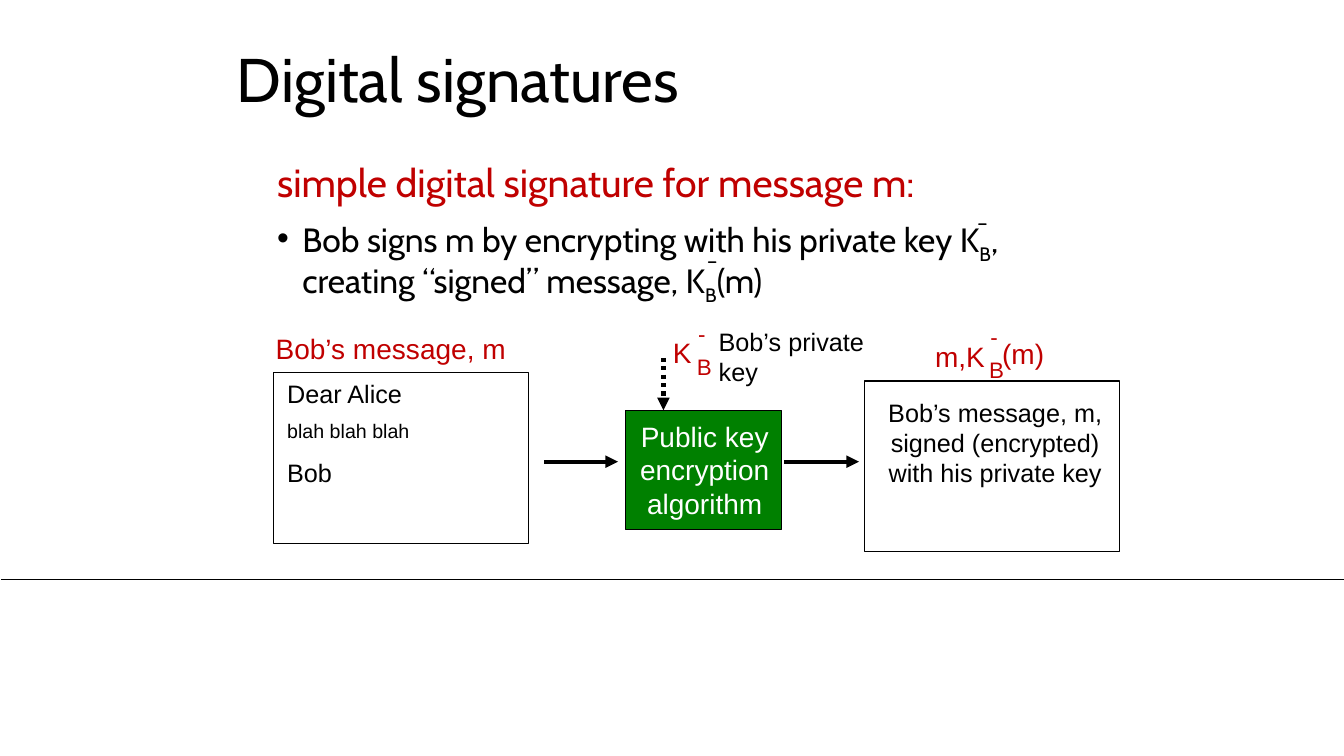
import dataclasses
import typing

import pptx
import pptx.dml.color
import pptx.enum.dml
import pptx.enum.shapes
import pptx.enum.text
import pptx.oxml
import pptx.oxml.ns
import pptx.util

PX = 9144  # 100 px to the inch
BLACK, WHITE, RED, GREEN = "000000", "FFFFFF", "C00000", "008000"
ALIGN = pptx.enum.text.PP_ALIGN
LEFT, CENTER = ALIGN.LEFT, ALIGN.CENTER


@dataclasses.dataclass(frozen=True)
class Panel:
    left: int
    top: int
    width: int
    height: int
    fill: str = WHITE


@dataclasses.dataclass(frozen=True)
class Line:
    start: tuple[int, int]
    end: tuple[int, int]
    weight: float = 3
    arrow: bool = True
    dotted: bool = False


@dataclasses.dataclass(frozen=True)
class Para:
    text: str
    size: int
    before: float = 0


@dataclasses.dataclass(frozen=True)
class Label:
    left: int
    top: int
    width: int
    height: int
    paras: tuple[Para, ...]
    color: str = BLACK
    font: str = "Arial"
    align: typing.Any = CENTER
    wrap: bool = True


def symbol(text: str, left: int, top: int, width: int, size: int) -> Label:
    """A red part of a key formula."""
    return Label(left, top, width, 44, (Para(text, size),), RED, wrap=False)


def key_marks(left: int, top: int) -> list[Label]:
    """The raised minus and lowered B beside a K."""
    return [symbol("B", left, top + 32, 35, 16), symbol("-", left + 1, top, 28, 16)]


PANELS = [
    Panel(857, 378, 253, 169),
    Panel(271, 370, 253, 169),
    Panel(620, 407, 155, 118, GREEN),
]
LINES = [
    Line((1, 575), (1333, 575), weight=0.5, arrow=False),
    Line((540, 458), (613, 458)),
    Line((778, 458), (852, 458)),
    Line((658, 355), (658, 407), dotted=True),
]
LABELS = [
    Label(674, 235, 65, 43, (Para("-", 20),), font="Comic Neue"),
    Label(942, 197, 65, 43, (Para("-", 20),), font="Comic Neue"),
    Label(275, 370, 232, 121,
          (Para("Dear Alice", 18), Para("blah blah blah", 14, 8), Para("Bob", 18, 10)),
          align=LEFT),
    Label(238, 324, 299, 43, (Para("Bob’s message, m", 20),), RED),
    Label(624, 411, 150, 111,
          tuple(Para(word, 20) for word in ("Public key", "encryption", "algorithm")),
          WHITE, wrap=False),
    Label(703, 319, 193, 70, (Para("Bob’s private", 18), Para("key", 18)), align=LEFT),
    symbol("K ", 657, 328, 47, 20),
    *key_marks(681, 313),
    Label(871, 389, 232, 130,
          (Para("Bob’s message, m, signed (encrypted) with his private key", 18),)),
    symbol("m,K ", 917, 332, 78, 20),
    *key_marks(971, 316),
    symbol(" (m)", 974, 329, 74, 20),
]
SIGNING_STEP = [
    ("Bob signs m by encrypting with his private key K", False),
    ("B", True),
    (", creating “signed” message, K", False),
    ("B", True),
    ("(m)", False),
]


def rgb(value: str) -> pptx.dml.color.RGBColor:
    return pptx.dml.color.RGBColor.from_string(value)


def apply_format(target: typing.Any, values: dict[str, typing.Any]) -> None:
    for name, value in values.items():
        setattr(target, name, value)


def add_span(para: typing.Any, text: str, size: int, color: str, font: str) -> typing.Any:
    span = para.add_run()
    span.text = text
    apply_format(span.font, {"size": pptx.util.Pt(size), "name": font, "bold": False})
    span.font.color.rgb = rgb(color)
    return span


def add_child(parent: typing.Any, tag: str, **attributes: str) -> None:
    child = pptx.oxml.parse_xml(f"<a:{tag} {pptx.oxml.ns.nsdecls('a')}/>")
    for name, value in attributes.items():
        child.set(name, value)
    parent.append(child)


def add_text_box(page: typing.Any, left: int, top: int, width: int, height: int,
                 wrap: bool = True) -> typing.Any:
    box = page.shapes.add_textbox(left * PX, top * PX, width * PX, height * PX)
    box.text_frame.word_wrap = wrap
    return box.text_frame


def draw_panel(page: typing.Any, panel: Panel) -> None:
    shape = page.shapes.add_shape(
        pptx.enum.shapes.MSO_SHAPE.RECTANGLE,
        panel.left * PX, panel.top * PX, panel.width * PX, panel.height * PX)
    shape.shadow.inherit = False
    shape.fill.solid()
    shape.fill.fore_color.rgb = rgb(panel.fill)
    shape.line.color.rgb = rgb(BLACK)
    shape.line.width = pptx.util.Pt(0.75)


def draw_line(page: typing.Any, line: Line) -> None:
    points = [value * PX for value in line.start + line.end]
    connector = page.shapes.add_connector(
        pptx.enum.shapes.MSO_CONNECTOR.STRAIGHT, *points)
    connector.line.color.rgb = rgb(BLACK)
    connector.line.width = pptx.util.Pt(line.weight)
    if line.dotted:
        connector.line.dash_style = pptx.enum.dml.MSO_LINE.ROUND_DOT
    if line.arrow:
        add_child(connector.line._get_or_add_ln(), "tailEnd", type="triangle")
    add_child(connector._element.spPr, "effectLst")


def draw_label(page: typing.Any, label: Label) -> None:
    frame = add_text_box(page, label.left, label.top, label.width, label.height, label.wrap)
    for index, item in enumerate(label.paras):
        para = frame.add_paragraph() if index else frame.paragraphs[0]
        para.alignment = label.align
        if item.before:
            para.space_before = pptx.util.Pt(item.before)
        add_span(para, item.text, item.size, label.color, label.font)


def draw_title(page: typing.Any) -> None:
    title = page.shapes.title
    apply_format(title, {"left": 225 * PX, "top": 19 * PX,
                         "width": 501 * PX, "height": 125 * PX})
    apply_format(title.text_frame, {
        "vertical_anchor": pptx.enum.text.MSO_ANCHOR.MIDDLE,
        "auto_size": pptx.enum.text.MSO_AUTO_SIZE.NONE, "word_wrap": True})
    para = title.text_frame.paragraphs[0]
    apply_format(para, {"alignment": LEFT, "line_spacing": 0.9})
    add_span(para, "Digital signatures", 44, BLACK, "Cabin")


def draw_explanation(page: typing.Any) -> None:
    frame = add_text_box(page, 265, 157, 808, 222)
    heading, step = frame.paragraphs[0], frame.add_paragraph()
    for para in (heading, step):
        para.line_spacing = 0.9
    add_span(heading, "simple digital signature for message m:", 28, RED, "Cabin")
    step.space_before = pptx.util.Pt(10)
    properties = step._p.get_or_add_pPr()
    properties.set("marL", str(25 * PX))
    properties.set("indent", str(-25 * PX))
    add_child(properties, "buFont", typeface="Arial")
    add_child(properties, "buChar", char="•")
    for text, lowered in SIGNING_STEP:
        span = add_span(step, text, 24, BLACK, "Cabin")
        if lowered:
            span.font._element.set("baseline", "-25000")


def main() -> None:
    deck = pptx.Presentation()
    apply_format(deck, {"slide_width": 1333 * PX, "slide_height": 750 * PX})
    page = deck.slides.add_slide(deck.slide_layouts[5])
    draw_title(page)
    for panel in PANELS:
        draw_panel(page, panel)
    draw_explanation(page)
    for line in LINES:
        draw_line(page, line)
    for label in LABELS:
        draw_label(page, label)
    deck.save("out.pptx")


if __name__ == "__main__":
    main()
